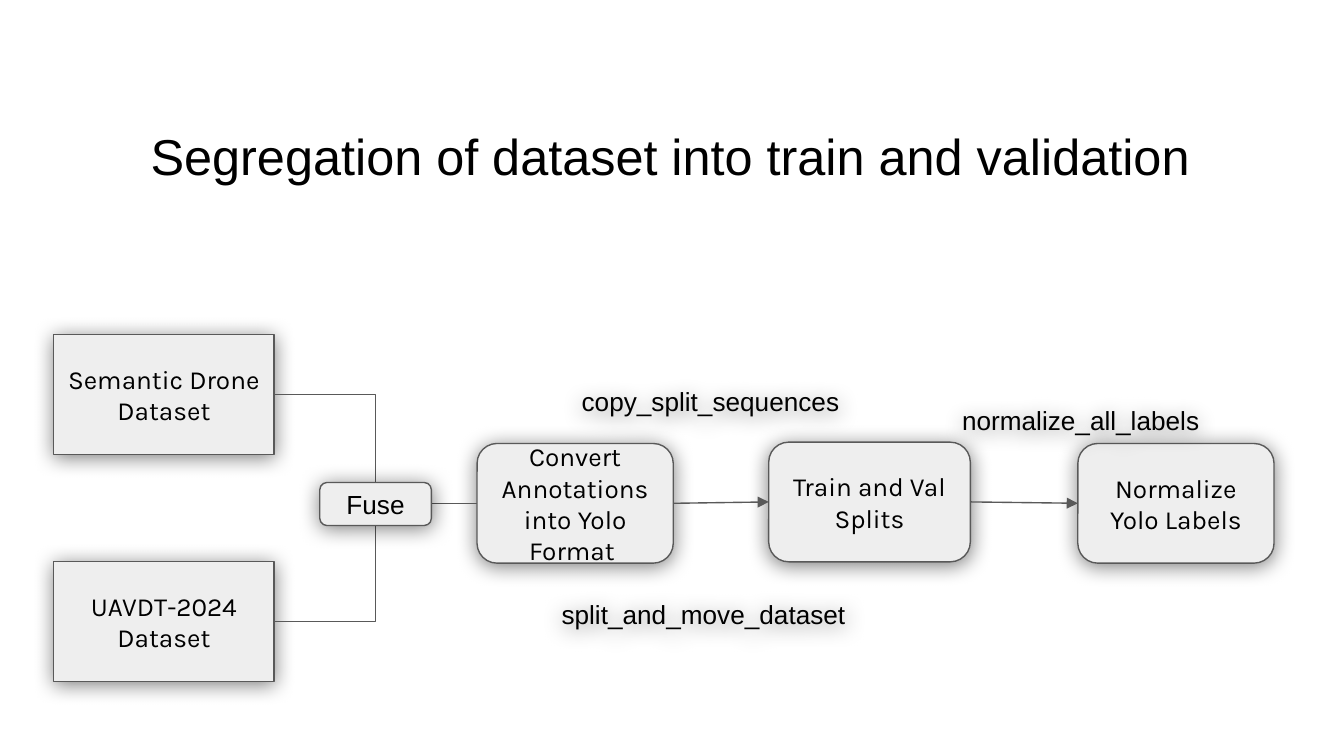
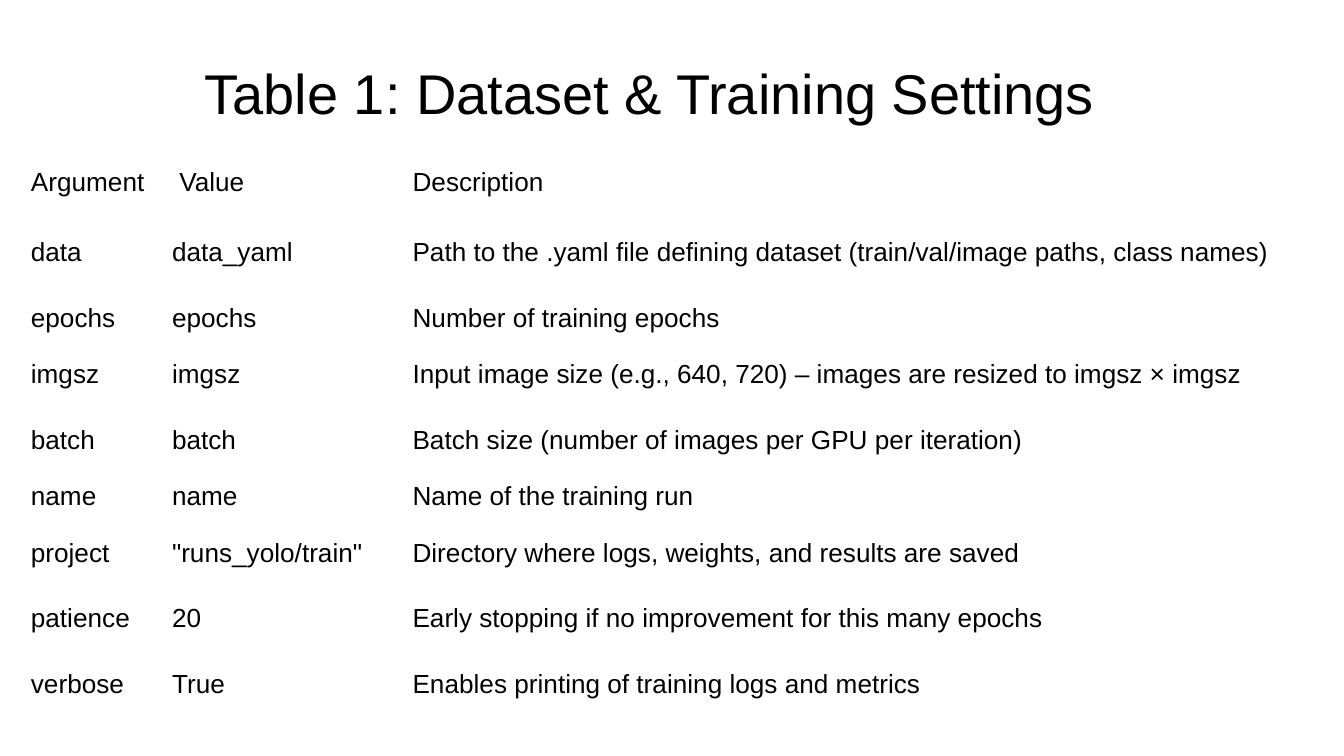
import pptx
import pptx.util
from lxml import etree
from pptx.dml.color import RGBColor
from pptx.enum.shapes import MSO_CONNECTOR, MSO_SHAPE
from pptx.enum.text import MSO_ANCHOR, PP_ALIGN
from pptx.oxml.ns import qn
from pptx.util import Inches, Pt

BLACK = RGBColor(0x00, 0x00, 0x00)
BOX_FILL = RGBColor(0xEE, 0xEE, 0xEE)
LINE = RGBColor(0x59, 0x59, 0x59)
LINE_WIDTH = Pt(0.75)
SANS = "Arial"
BOX_FONT = "Karla"
BODY_SIZE = 14
LEFT, RIGHT = 1, 3  # connection sites of a box

SETTINGS_COLS = [1.05, 1.79, 6.9]
HEADER_ROW, TALL_ROW, SHORT_ROW = 0.52, 0.49, 0.37
SETTINGS = [
    (HEADER_ROW, "Argument", " Value", "Description"),
    (TALL_ROW, "data", "data_yaml",
     "Path to the .yaml file defining dataset (train/val/image paths, class names)"),
    (SHORT_ROW, "epochs", "epochs", "Number of training epochs"),
    (TALL_ROW, "imgsz", "imgsz",
     "Input image size (e.g., 640, 720) – images are resized to imgsz × imgsz"),
    (SHORT_ROW, "batch", "batch",
     "Batch size (number of images per GPU per iteration)"),
    (SHORT_ROW, "name", "name", "Name of the training run"),
    (TALL_ROW, "project", '"runs_yolo/train"',
     "Directory where logs, weights, and results are saved"),
    (TALL_ROW, "patience", "20",
     "Early stopping if no improvement for this many epochs"),
    (TALL_ROW, "verbose", "True", "Enables printing of training logs and metrics"),
]


def set_text(tf, text, size=BODY_SIZE, font=SANS, align=PP_ALIGN.LEFT,
             anchor=MSO_ANCHOR.TOP):
    tf.text = text
    tf.word_wrap = True
    tf.vertical_anchor = anchor
    tf.margin_left = tf.margin_right = Inches(0.1)
    tf.margin_top = tf.margin_bottom = Inches(0.1)
    p = tf.paragraphs[0]
    p.alignment = align
    format_run(p.runs[0], size, font)


def format_run(r, size=BODY_SIZE, font=SANS):
    r.font.size = Pt(size)
    r.font.name = font
    r.font.color.rgb = BLACK


def add_soft_shadow(sp):
    sp.shadow.inherit = False
    effects = sp._element.spPr.find(qn("a:effectLst"))
    shadow = etree.SubElement(
        effects, qn("a:outerShdw"), blurRad=str(Pt(11.25)), dist=str(Pt(1.5)),
        dir="5400000", algn="bl", rotWithShape="0")
    color = etree.SubElement(shadow, qn("a:srgbClr"), val=str(BLACK))
    etree.SubElement(color, qn("a:alpha"), val="50000")


def add_titled_slide(prs, text, size, left, top, width, height):
    s = prs.slides.add_slide(prs.slide_layouts[5])
    title = s.shapes.title
    title.left, title.top = Inches(left), Inches(top)
    title.width, title.height = Inches(width), Inches(height)
    set_text(title.text_frame, text, size, align=PP_ALIGN.CENTER,
             anchor=MSO_ANCHOR.MIDDLE)
    return s


def add_box(s, text, left, top, width, height=0.89,
            kind=MSO_SHAPE.ROUNDED_RECTANGLE, font=BOX_FONT):
    sp = s.shapes.add_shape(kind, Inches(left), Inches(top),
                            Inches(width), Inches(height))
    sp.fill.solid()
    sp.fill.fore_color.rgb = BOX_FILL
    sp.line.color.rgb = LINE
    sp.line.width = LINE_WIDTH
    add_soft_shadow(sp)
    set_text(sp.text_frame, text, font=font, align=PP_ALIGN.CENTER,
             anchor=MSO_ANCHOR.MIDDLE)
    return sp


def add_label(s, text, left, top, width, height):
    sp = s.shapes.add_textbox(Inches(left), Inches(top),
                              Inches(width), Inches(height))
    set_text(sp.text_frame, text)
    add_soft_shadow(sp)


def connect(s, source, target, kind=MSO_CONNECTOR.STRAIGHT, arrow=True):
    """Join the right side of source to the left side of target."""
    line = s.shapes.add_connector(
        kind, source.left + source.width, source.top + source.height // 2,
        target.left, target.top + target.height // 2)
    line.begin_connect(source, RIGHT)
    line.end_connect(target, LEFT)
    line.line.color.rgb = LINE
    line.line.width = LINE_WIDTH
    if arrow:
        etree.SubElement(line.line._get_or_add_ln(), qn("a:tailEnd"),
                         type="triangle")
    etree.SubElement(line._element.spPr, qn("a:effectLst"))


def add_settings_table(s, left, top):
    heights = [row[0] for row in SETTINGS]
    table = s.shapes.add_table(
        len(SETTINGS), len(SETTINGS_COLS), Inches(left), Inches(top),
        Inches(sum(SETTINGS_COLS)), Inches(sum(heights))).table
    table.first_row = table.horz_banding = False
    for col, width in zip(table.columns, SETTINGS_COLS):
        col.width = Inches(width)
    for row, (height, *texts) in zip(table.rows, SETTINGS):
        row.height = Inches(height)
        for cell, text in zip(row.cells, texts):
            cell.fill.background()
            cell.margin_left = cell.margin_right = Inches(0.1)
            cell.margin_top = cell.margin_bottom = Inches(0.1)
            p = cell.text_frame.paragraphs[0]
            p.text = text
            format_run(p.runs[0])


def add_pipeline_slide(prs):
    s = add_titled_slide(prs, "Segregation of dataset into train and validation ",
                         27, 0.31, 0.53, 9.46, 1.25)
    datasets = [add_box(s, text, 0.4, top, 1.64, kind=MSO_SHAPE.RECTANGLE)
                for text, top in (("Semantic Drone Dataset", 2.49),
                                  ("UAVDT-2024 Dataset", 4.18))]
    steps = [add_box(s, text, left, top, width)
             for text, left, top, width in (
                 ("Convert Annotations into Yolo Format ", 3.55, 3.3, 1.46),
                 ("Train and Val Splits", 5.72, 3.29, 1.5),
                 ("Normalize Yolo Labels", 8.02, 3.3, 1.46))]
    for dataset in datasets:
        connect(s, dataset, steps[0], MSO_CONNECTOR.ELBOW, arrow=False)
    for source, target in zip(steps, steps[1:]):
        connect(s, source, target)
    add_label(s, "copy_split_sequences", 4.23, 2.77, 2.27, 0.32)
    add_label(s, "split_and_move_dataset", 4.08, 4.35, 2.67, 0.32)
    add_label(s, "normalize_all_labels", 7.06, 2.91, 1.98, 0.44)
    add_box(s, "Fuse", 2.38, 3.59, 0.83, 0.32, font=SANS)


def add_settings_slide(prs):
    s = add_titled_slide(prs, "Table 1: Dataset & Training Settings",
                         30, 0.3, 0.22, 9.07, 0.93)
    add_settings_table(s, 0.13, 1.15)


def main():
    prs = pptx.Presentation()
    prs.slide_width = Inches(10)
    prs.slide_height = prs.slide_width * 9 // 16
    add_pipeline_slide(prs)
    add_settings_slide(prs)
    prs.save("out.pptx")


if __name__ == "__main__":
    main()
